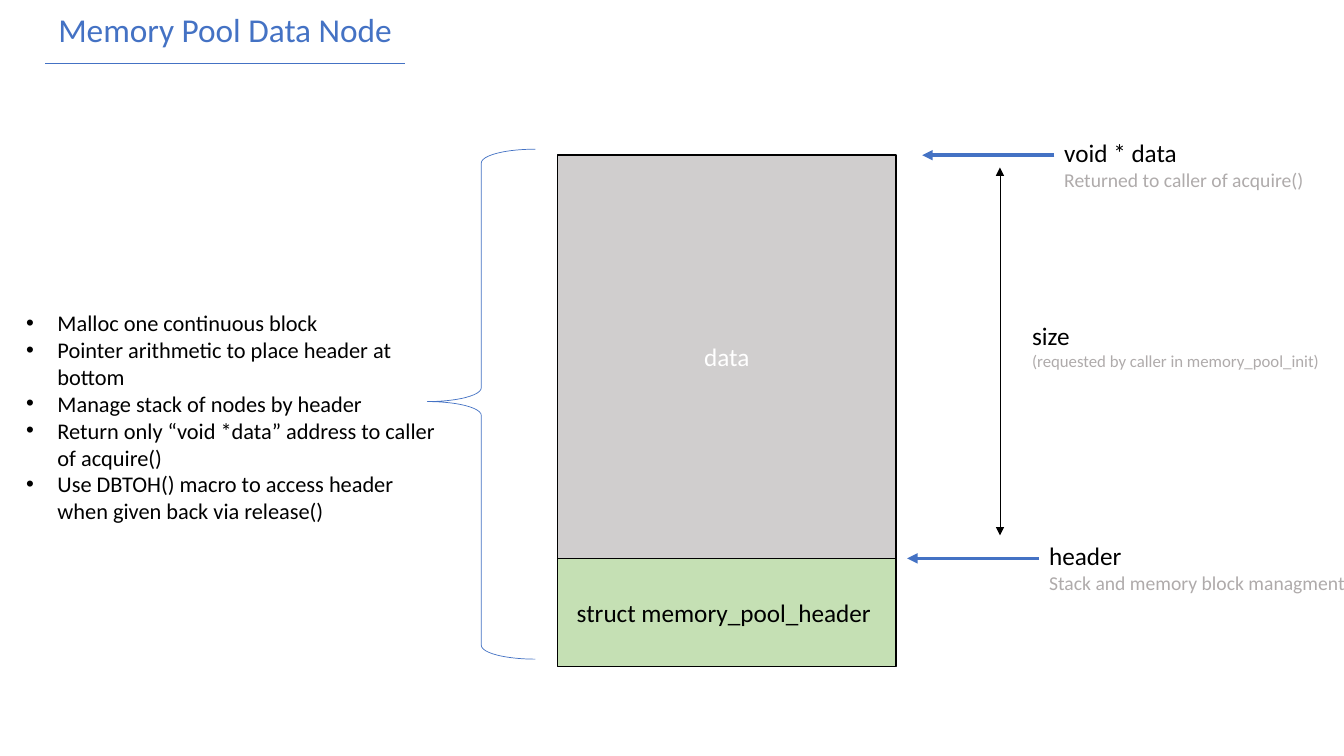
from lxml import etree
from pptx import Presentation
from pptx.dml.color import RGBColor
from pptx.enum.shapes import MSO_CONNECTOR, MSO_SHAPE
from pptx.enum.text import MSO_ANCHOR, PP_ALIGN
from pptx.oxml.ns import qn
from pptx.util import Cm, Pt

STRAIGHT = MSO_CONNECTOR.STRAIGHT
RECTANGLE, BRACE = MSO_SHAPE.RECTANGLE, MSO_SHAPE.LEFT_BRACE
TOP, MIDDLE, BOTTOM = MSO_ANCHOR.TOP, MSO_ANCHOR.MIDDLE, MSO_ANCHOR.BOTTOM
LEFT, CENTER = PP_ALIGN.LEFT, PP_ALIGN.CENTER

# Content
FONT = "Calibri"
BLUE, BLACK, WHITE, GREY = "4472C4", "000000", "FFFFFF", "AFABAB"
TITLE = "Memory Pool Data Node"
NOTES = [
    "Malloc one continuous block",
    "Pointer arithmetic to place header at bottom",
    "Manage stack of nodes by header",
    "Return only “void *data” address to caller of acquire()",
    "Use DBTOH() macro to access header when given back via release()",
]
# Stacked memory blocks: text, height, fill, text colour
BLOCKS = [
    ("data", 10.16, "D0CECE", WHITE),
    ("struct memory_pool_header ", 2.72, "C5E0B4", BLACK),
]
# Pointers, one at the top of each block: name, explanation, left of the label
POINTERS = [
    ("void * data", "Returned to caller of acquire()", 26.57),
    ("header", "Stack and memory block managment", 26.19),
]
SIZE = ("size", "(requested by caller in memory_pool_init)")

# Geometry in centimetres
BLOCK_LEFT, BLOCK_TOP, BLOCK_WIDTH = 14.05, 3.91, 8.53
POINTER_LENGTH, LABEL_RISE = 3.33, 0.57
SIZE_X = 25.2


def color(hex_text):
    return RGBColor.from_string(hex_text)


def write(shape, lines, anchor=TOP, align=LEFT):
    """Fill a shape with (text, size, colour) lines."""
    frame = shape.text_frame
    for key, value in {"word_wrap": True, "vertical_anchor": anchor}.items():
        setattr(frame, key, value)
    for index, (text, size, ink) in enumerate(lines):
        paragraph = frame.paragraphs[0] if index == 0 else frame.add_paragraph()
        paragraph.alignment = align
        run = paragraph.add_run()
        run.text = text
        for key, value in {"name": FONT, "size": Pt(size), "bold": False}.items():
            setattr(run.font, key, value)
        run.font.color.rgb = color(ink)
    return frame


def add_text(left, top, width, height, lines):
    box = slide.shapes.add_textbox(Cm(left), Cm(top), Cm(width), Cm(height))
    return write(box, lines)


def add_outline(kind, left, top, width, height, ink, weight):
    shape = slide.shapes.add_shape(kind, Cm(left), Cm(top), Cm(width), Cm(height))
    shape.shadow.inherit = False
    shape.fill.background()
    shape.line.color.rgb = color(ink)
    shape.line.width = Pt(weight)
    return shape


def add_line(x1, y1, x2, y2, ink, weight, ends=()):
    line = slide.shapes.add_connector(STRAIGHT, Cm(x1), Cm(y1), Cm(x2), Cm(y2))
    line.line.color.rgb = color(ink)
    line.line.width = Pt(weight)
    for end in ends:
        etree.SubElement(line.line._get_or_add_ln(), qn(f"a:{end}"), type="triangle")
    etree.SubElement(line._element.spPr, qn("a:effectLst"))


presentation = Presentation()
presentation.slide_width, presentation.slide_height = Cm(33.87), Cm(19.05)
slide = presentation.slides.add_slide(presentation.slide_layouts[5])

# Title with its rule
title = slide.shapes.title
place = {"left": -0.05 + 1.07, "top": -0.05, "width": 9.3, "height": 1.4}
for side, length in place.items():
    setattr(title, side, Cm(length))
title_frame = write(title, [(TITLE, 23.8, BLUE)], BOTTOM, CENTER)
title_frame.paragraphs[0].line_spacing = 0.8
add_line(1.14, 1.6, 10.21, 1.6, BLUE, 0.5)

# Memory blocks, each with the pointer to its top
top = BLOCK_TOP
for (text, height, fill, ink), (name, detail, left) in zip(BLOCKS, POINTERS):
    block = add_outline(RECTANGLE, BLOCK_LEFT, top, BLOCK_WIDTH, height, BLACK, 1)
    block.fill.solid()
    block.fill.fore_color.rgb = color(fill)
    write(block, [(text, 18, ink)], MIDDLE, CENTER)
    add_line(left, top, left - POINTER_LENGTH, top, BLUE, 2.5, ["tailEnd"])
    add_text(left, top - LABEL_RISE, 8.56, 1.63,
             [(name, 18, BLACK), (detail, 14, GREY)])
    top += height

# Size of the data block
add_line(SIZE_X, 4.22, SIZE_X, 13.49, BLACK, 0.5, ["headEnd", "tailEnd"])
add_text(25.76, 7.95, 8.38, 1.55, [(SIZE[0], 18, BLACK), (SIZE[1], 12, GREY)])

# Brace and notes on the whole node
brace = add_outline(BRACE, 10.77, 3.76, 2.72, 12.85, BLUE, 0.5)
brace.adjustments[0], brace.adjustments[1] = 0.128, 0.495
notes = add_text(0.41, 7.67, 11.02, 6.4, [(note, 16, BLACK) for note in NOTES])
for paragraph in notes.paragraphs:
    properties = paragraph._p.get_or_add_pPr()
    for key, indent in {"marL": Cm(0.79), "indent": Cm(-0.79)}.items():
        properties.set(key, str(int(indent)))
    etree.SubElement(properties, qn("a:buFont"), typeface="Arial")
    etree.SubElement(properties, qn("a:buChar"), char="•")

presentation.save("out.pptx")
